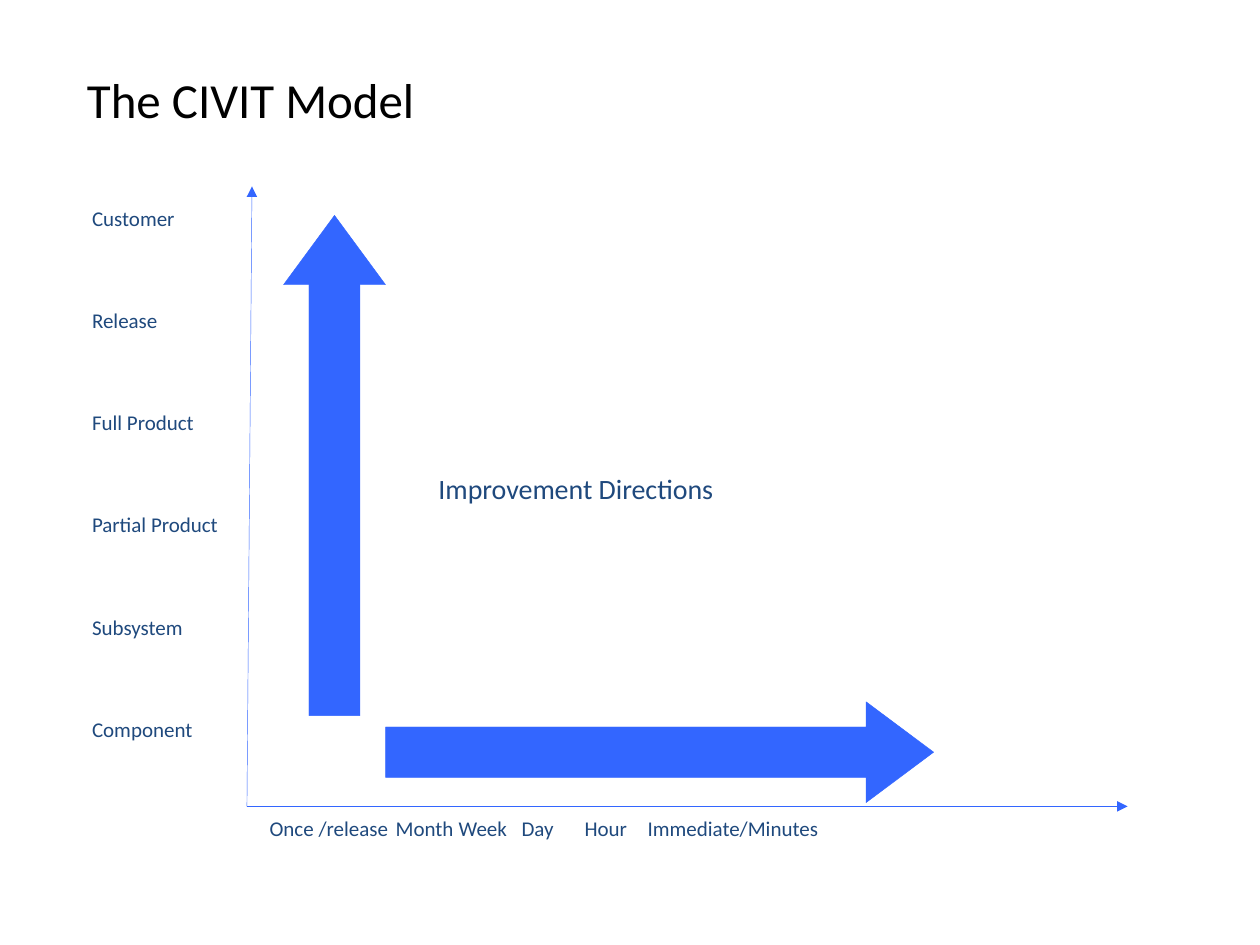
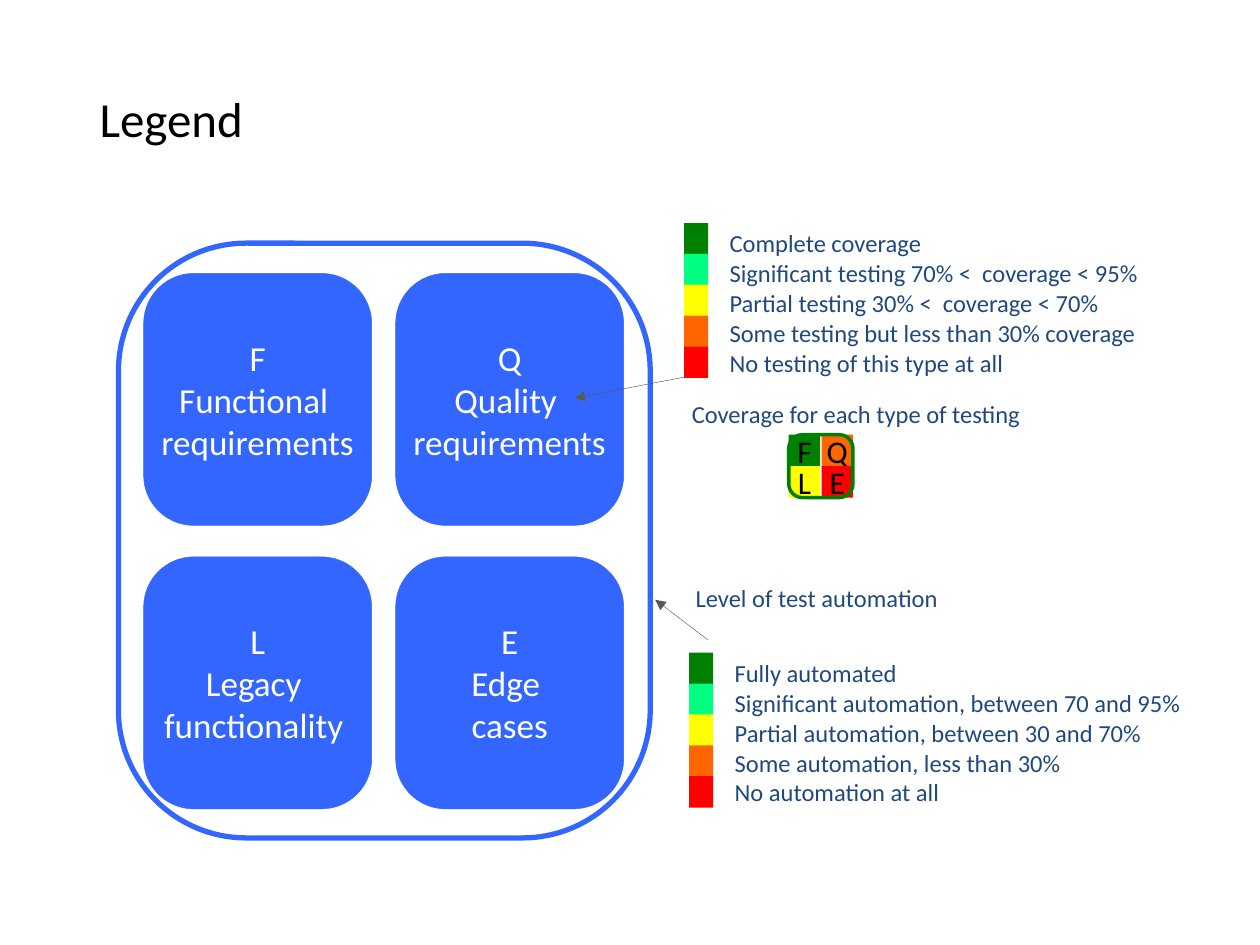
from lxml import etree
from pptx import Presentation
from pptx.dml.color import RGBColor
from pptx.enum.shapes import MSO_CONNECTOR, MSO_SHAPE
from pptx.enum.text import MSO_ANCHOR, MSO_AUTO_SIZE, PP_ALIGN
from pptx.oxml.ns import qn
from pptx.util import Inches, Pt

STRAIGHT = MSO_CONNECTOR.STRAIGHT
RECT, ROUND = MSO_SHAPE.RECTANGLE, MSO_SHAPE.ROUNDED_RECTANGLE
UP, RIGHT = MSO_SHAPE.UP_ARROW, MSO_SHAPE.RIGHT_ARROW
TOP, MIDDLE = MSO_ANCHOR.TOP, MSO_ANCHOR.MIDDLE
LEFT, CENTER = PP_ALIGN.LEFT, PP_ALIGN.CENTER
NO_FIT = MSO_AUTO_SIZE.NONE

FONT = "Calibri"
BLACK = RGBColor(0, 0, 0)
WHITE = RGBColor(255, 255, 255)
BLUE = RGBColor(0x33, 0x66, 0xFF)
NAVY = RGBColor(0x1F, 0x49, 0x7D)
GRAY = RGBColor(0x59, 0x59, 0x59)
GREEN = RGBColor(0x00, 0x80, 0x00)
MINT = RGBColor(0x00, 0xFF, 0x80)
YELLOW = RGBColor(0xFF, 0xFF, 0x00)
ORANGE = RGBColor(0xFF, 0x66, 0x00)
RED = RGBColor(0xFF, 0x00, 0x00)
SCALE = [GREEN, MINT, YELLOW, ORANGE, RED]

LEVELS = ["Customer", "Release", "Full Product", "Partial Product",
          "Subsystem", "Component"]
TIMES = ["Once /release", "Month", "Week", "Day", "Hour",
         "Immediate/Minutes"]
TESTS = ["F\nFunctional \nrequirements", "Q\nQuality \nrequirements",
         "L\nLegacy \nfunctionality ", "E\nEdge \ncases"]
MARKS = [("F", GREEN), ("Q", ORANGE), ("L", YELLOW), ("E", RED)]
COVER = ["Complete coverage", "Significant testing 70% <  coverage < 95%",
         "Partial testing 30% <  coverage < 70%",
         "Some testing but less than 30% coverage",
         "No testing of this type at all"]
AUTO = ["Fully automated", "Significant automation, between 70 and 95%",
        "Partial automation, between 30 and 70%",
        "Some automation, less than 30%", "No automation at all"]


def put_text(frame, text, size, color, align=LEFT, anchor=TOP, inset=0.0,
             wrap=False, gap=0):
    frame.auto_size = NO_FIT
    frame.word_wrap = wrap
    frame.vertical_anchor = anchor
    frame.margin_left = frame.margin_right = Inches(inset)
    frame.margin_top = frame.margin_bottom = Inches(inset)
    frame.text = text
    for i, para in enumerate(frame.paragraphs):
        para.alignment = align
        if gap and i:
            para.space_before = Pt(gap)
        font = para.font
        font.name, font.size = FONT, Pt(size)
        font.color.rgb = color


def add_slide(deck, title, top, height, inset):
    slide = deck.slides.add_slide(deck.slide_layouts[5])
    head = slide.shapes.title
    head.left, head.top = Inches(0.69), Inches(top)
    head.width, head.height = Inches(9.05), Inches(height)
    put_text(head.text_frame, title, 28, BLACK, anchor=MIDDLE,
             inset=inset, wrap=True)
    return slide


def add_label(slide, text, x, y, w, h, size=14, gap=0):
    box = slide.shapes.add_textbox(Inches(x), Inches(y), Inches(w), Inches(h))
    put_text(box.text_frame, text, size, NAVY, inset=0.04, gap=gap)
    return box.text_frame


def add_block(slide, kind, x, y, w, h, fill=None, line=None, width=0.25,
              adjust=()):
    block = slide.shapes.add_shape(kind, Inches(x), Inches(y),
                                   Inches(w), Inches(h))
    block.shadow.inherit = False
    for i, value in enumerate(adjust):
        block.adjustments[i] = value
    if fill is None:
        block.fill.background()
    else:
        block.fill.solid()
        block.fill.fore_color.rgb = fill
    if line is None:
        block.line.fill.background()
    else:
        block.line.color.rgb = line
        block.line.width = Pt(width)
    return block


def add_arrow(slide, start, end, color):
    ends = [Inches(v) for v in (*start, *end)]
    arrow = slide.shapes.add_connector(STRAIGHT, *ends)
    arrow.line.color.rgb = color
    arrow.line.width = Pt(0.25)
    props = arrow.element.spPr
    etree.SubElement(props.find(qn("a:ln")), qn("a:tailEnd"), type="triangle")
    etree.SubElement(props, qn("a:effectLst"))


def add_times(slide):
    box = slide.shapes.add_textbox(Inches(2), Inches(6.43),
                                   Inches(7.5), Inches(0.28))
    frame = box.text_frame
    props = frame.paragraphs[0]._p.get_or_add_pPr()
    tabs = etree.SubElement(props, qn("a:tabLst"))
    for i in range(len(TIMES) - 1):
        etree.SubElement(tabs, qn("a:tab"), pos=str(Inches(1.4 + i)), algn="l")
    put_text(frame, "\t".join(TIMES), 12, NAVY, inset=0.04, wrap=True)
    frame.margin_left = Inches(0.14)


def add_key(slide, x, y, names):
    for i, (name, color) in enumerate(zip(names, SCALE)):
        add_block(slide, RECT, x, y + i * 0.98 / 4, 0.19, 0.25, color)
        add_label(slide, name, x + 0.32, y + i * 0.95 / 4, 3.65, 0.31)


def add_tests(slide):
    for i, text in enumerate(TESTS):
        row, col = divmod(i, 2)
        tile = add_block(slide, ROUND, 1.14 + 2 * col, 2.17 + 2.25 * row,
                         1.81, 2, BLUE, BLUE, adjust=[0.22])
        put_text(tile.text_frame, text, 20, WHITE, CENTER, MIDDLE)
    add_block(slide, ROUND, 0.94, 1.93, 4.22, 4.72, line=BLUE, width=3,
              adjust=[0.24])


def add_badge(slide, x, y):
    for i, (text, color) in enumerate(MARKS):
        row, col = divmod(i, 2)
        cell = add_block(slide, RECT, x + 0.26 * col, y + 0.25 * row,
                         0.25, 0.25, color)
        put_text(cell.text_frame, text, 18, BLACK, CENTER, MIDDLE)
    add_block(slide, ROUND, x, y, 0.51, 0.5, line=GREEN, width=2,
              adjust=[0.22])


def build_model(deck):
    slide = add_slide(deck, "The CIVIT Model", 0.52, 0.53, 0)
    add_arrow(slide, (1.96, 6.4), (2, 1.48), BLUE)
    add_arrow(slide, (1.96, 6.4), (8.95, 6.4), BLUE)
    add_times(slide)
    add_label(slide, "\n".join(LEVELS), 0.69, 1.59, 1.09, 4.52, 12, 44)
    add_block(slide, UP, 2.25, 1.71, 0.81, 3.97, BLUE, BLUE,
              adjust=[0.5, 0.68])
    add_block(slide, RIGHT, 3.06, 5.57, 4.35, 0.8, BLUE, BLUE,
              adjust=[0.5, 0.67])
    add_label(slide, "Improvement Directions", 3.44, 3.7, 2.44, 0.35, 16)


def build_legend(deck):
    slide = add_slide(deck, "Legend", 0.43, 1.01, 0.1)
    add_tests(slide)
    add_badge(slide, 6.26, 3.45)
    add_key(slide, 5.43, 1.77, COVER)
    add_key(slide, 5.47, 5.18, AUTO)
    add_arrow(slide, (5.45, 2.99), (4.56, 3.16), GRAY)
    add_label(slide, "Coverage for each type of testing", 5.45, 3.13, 2.72, 0.31)
    add_arrow(slide, (5.62, 5.08), (5.2, 4.76), GRAY)
    add_label(slide, "Level of test automation", 5.48, 4.59, 2.02, 0.31)


def main():
    deck = Presentation()
    deck.slide_width, deck.slide_height = Inches(10), Inches(7.5)
    build_model(deck)
    build_legend(deck)
    deck.save("out.pptx")


if __name__ == "__main__":
    main()
